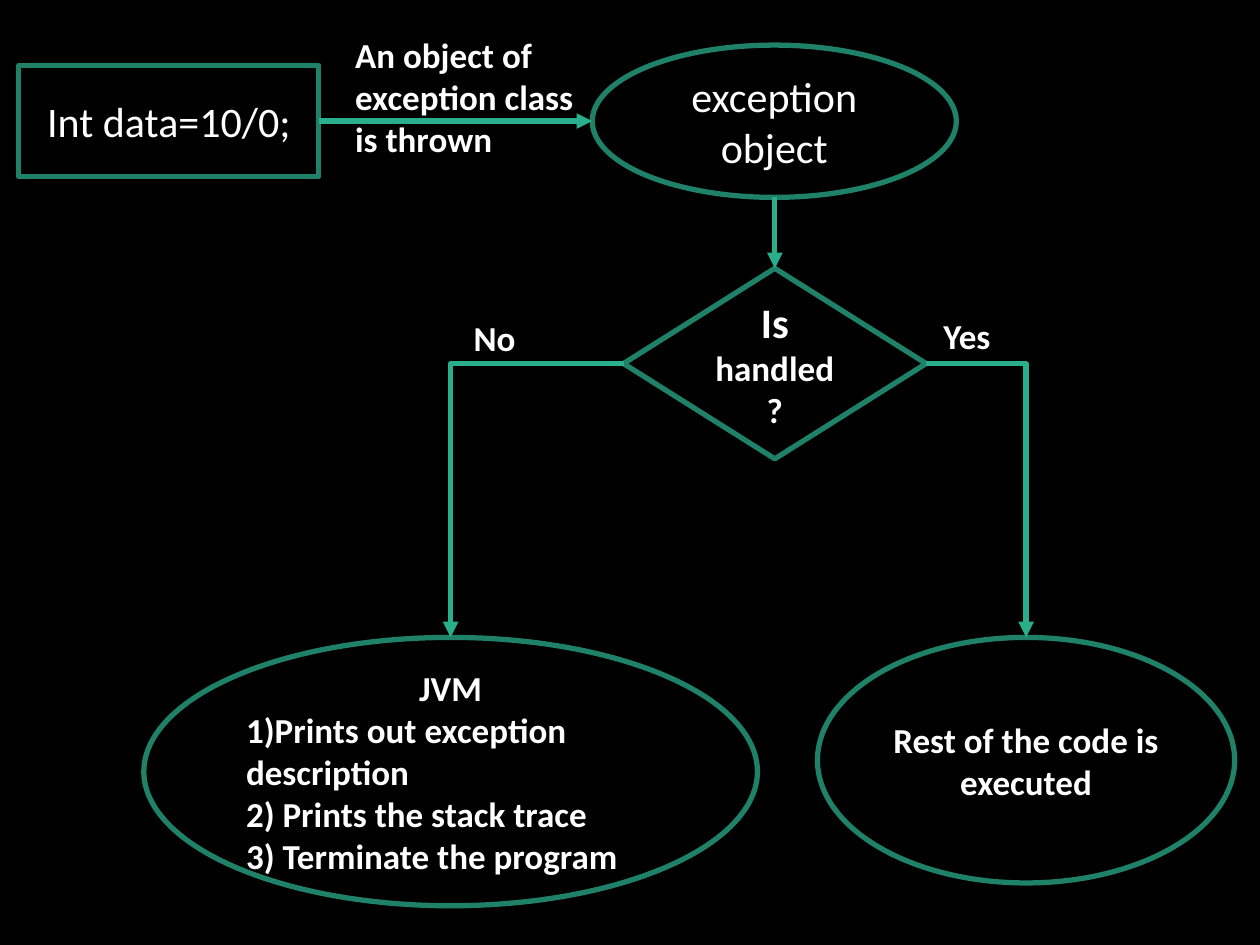
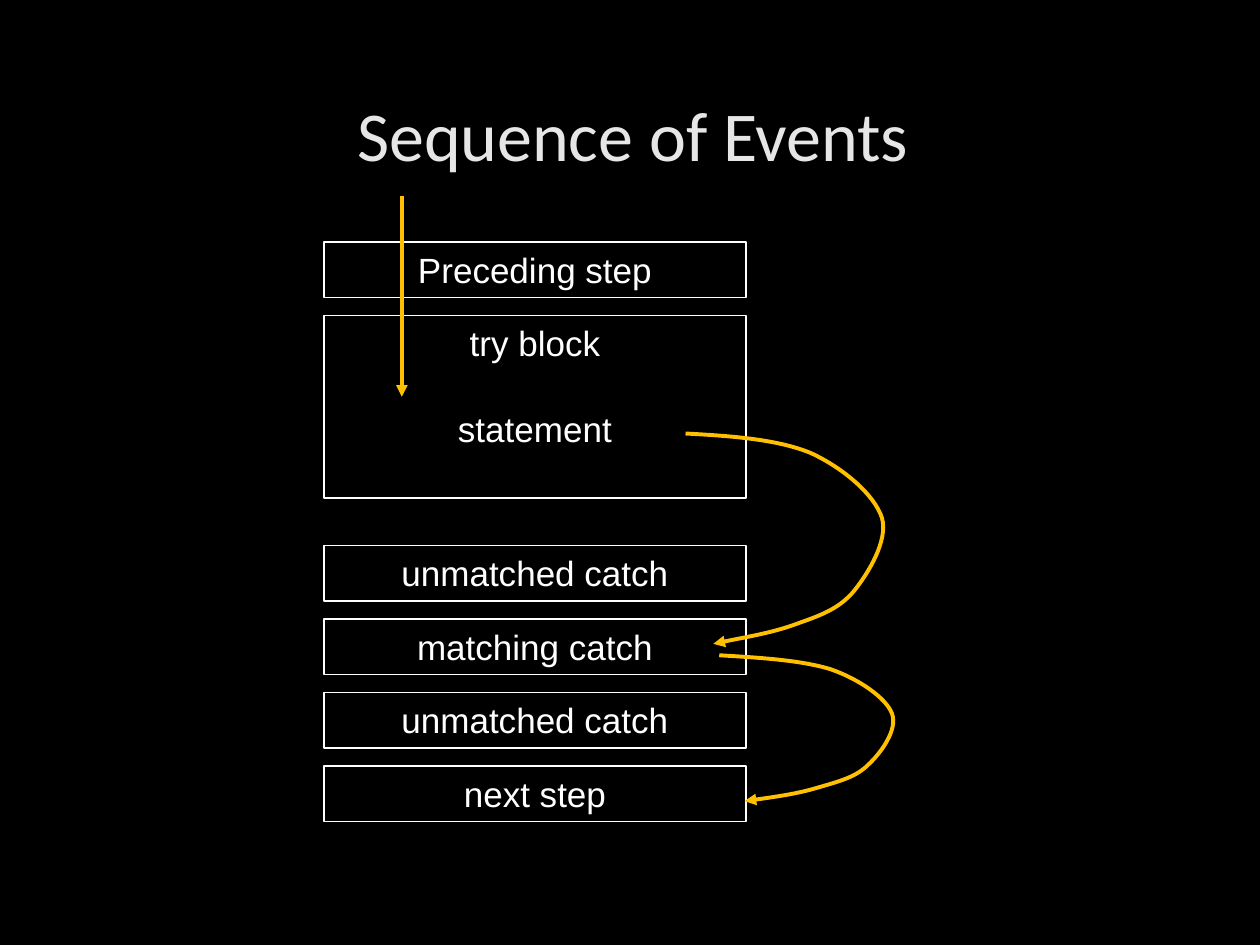
from lxml.etree import SubElement
from pptx import Presentation
from pptx.dml.color import RGBColor
from pptx.enum.shapes import MSO_CONNECTOR, MSO_SHAPE
from pptx.enum.text import MSO_ANCHOR, PP_ALIGN
from pptx.oxml.ns import qn
from pptx.util import Cm, Pt

WHITE, SILVER, BLACK = "FFFFFF", "E7E6E6", "000000"
GREEN, MINT, GOLD = "1E8168", "29AF8C", "FFC000"
LEFT, MID = PP_ALIGN.LEFT, PP_ALIGN.CENTER


def tint(code):
    return RGBColor.from_string(code)


class Deck:
    def __init__(self):
        self.show = Presentation()
        self.show.slide_width, self.show.slide_height = Cm(25.4), Cm(19.05)
        self.slide = None
        self.font = "Calibri"

    def page(self, font):
        self.font = font
        self.slide = self.show.slides.add_slide(self.show.slide_layouts[6])
        fill = self.slide.background.fill
        fill.solid()
        fill.fore_color.rgb = tint(BLACK)

    def letter(self, frame, paras, color, bold, anchor, gap=0):
        frame.word_wrap = True
        frame.vertical_anchor = anchor
        for num, (align, runs) in enumerate(paras):
            para = frame.add_paragraph() if num else frame.paragraphs[0]
            para.alignment = align
            if num and gap:
                para.space_before = Pt(gap)
            for words, size in runs:
                run = para.add_run()
                run.text = words
                font = run.font
                font.name, font.size, font.bold = self.font, Pt(size), bold
                font.color.rgb = tint(color)

    def stroke(self, item, color, width):
        item.line.color.rgb = tint(color)
        item.line.width = Pt(width)

    def tip(self, item):
        SubElement(item.line._get_or_add_ln(), qn("a:tailEnd"), type="triangle")

    def shape(self, kind, place, paras, color=GREEN, width=3, bold=False,
              anchor=MSO_ANCHOR.MIDDLE, gap=0):
        item = self.slide.shapes.add_shape(kind, *map(Cm, place))
        item.shadow.inherit = False
        item.fill.background()
        self.stroke(item, color, width)
        self.letter(item.text_frame, paras, WHITE, bold, anchor, gap)
        return item

    def label(self, place, words, size=20, color=WHITE, bold=True, align=LEFT,
              anchor=MSO_ANCHOR.TOP):
        item = self.slide.shapes.add_textbox(*map(Cm, place))
        self.letter(item.text_frame, [(align, [(words, size)])], color, bold, anchor)

    def arrow(self, start, end, color=MINT, width=3, bent=False):
        kind = MSO_CONNECTOR.ELBOW if bent else MSO_CONNECTOR.STRAIGHT
        item = self.slide.shapes.add_connector(kind, *map(Cm, start + end))
        props = item._element.spPr
        if bent:
            props.find(qn("a:prstGeom")).set("prst", "bentConnector2")
        self.stroke(item, color, width)
        self.tip(item)
        SubElement(props, qn("a:effectLst"))
        return item

    def curve(self, points, color=GOLD, width=2.25):
        spots = [(Cm(x), Cm(y)) for x, y in points]
        pen = self.slide.shapes.build_freeform(*spots[0])
        pen.add_line_segments(spots[1:], close=False)
        item = pen.convert_to_shape()
        steps = list(item._element.iter(qn("a:lnTo")))
        for num in range(0, len(steps), 3):
            bend = SubElement(steps[num].getparent(), qn("a:cubicBezTo"))
            for step in steps[num:num + 3]:
                bend.append(step[0])
                step.getparent().remove(step)
        item.shadow.inherit = False
        item.fill.background()
        self.stroke(item, color, width)
        self.tip(item)


def flow(deck):
    deck.page("Calibri")
    code = deck.shape(MSO_SHAPE.RECTANGLE, (0.38, 1.32, 6.05, 2.24),
                      [(MID, [("Int data=10/0;", 24)])])
    deck.shape(MSO_SHAPE.OVAL, (11.94, 0.91, 7.34, 3.07),
               [(MID, [("exception object", 24)])])
    test = deck.shape(MSO_SHAPE.DIAMOND, (12.57, 5.41, 6.1, 3.84),
                      [(MID, [("Is ", 24), ("handled?", 20)])], bold=True)
    tasks = ["1)Prints out exception description", "2) Prints the stack trace",
             "3) Terminate the program"]
    halt = deck.shape(MSO_SHAPE.OVAL, (2.9, 12.85, 12.37, 5.41),
                      [(MID, [("JVM", 20)])] + [(LEFT, [(task, 20)]) for task in tasks],
                      bold=True)
    rest = deck.shape(MSO_SHAPE.OVAL, (16.48, 12.85, 8.41, 4.95),
                      [(MID, [("Rest of the code is executed", 20)])], bold=True)

    deck.arrow((6.43, 2.44), (11.94, 2.44)).begin_connect(code, 3)
    deck.arrow((15.62, 3.98), (15.62, 5.41)).end_connect(test, 0)
    for start, side, end, goal in (((12.57, 7.33), 1, (9.09, 12.85), halt),
                                   ((18.67, 7.33), 3, (20.69, 12.85), rest)):
        link = deck.arrow(start, end, bent=True)
        link.begin_connect(test, side)
        link.end_connect(goal, 0)

    deck.label((9.3, 6.25, 3.48, 1.12), "No")
    deck.label((18.77, 6.22, 3.48, 1.12), "Yes")
    deck.label((6.91, 0.56, 5.03, 2.82), "An object of exception class is thrown")


def events(deck):
    deck.page("Calibri")
    deck.label((1.27, 0.69, 23.29, 3.99), "Sequence of Events ", 40, SILVER, False,
               MID, MSO_ANCHOR.MIDDLE)
    deck.font = "Arial"
    pitch, low = 1.48, 1.12
    boxes = [(4.88, low, ["Preceding step"]),
             (4.88 + pitch, 3.68, ["try block", "statement"])]
    names = ["unmatched catch", "matching catch", "unmatched catch", "next step"]
    boxes += [(11 + pitch * num, low, [name]) for num, name in enumerate(names)]
    for top, high, lines in boxes:
        deck.shape(MSO_SHAPE.RECTANGLE, (6.53, top, 8.51, high),
                   [(MID, [(line, 20)]) for line in lines], WHITE, 0.75,
                   anchor=MSO_ANCHOR.TOP, gap=25)
    deck.arrow((8.1, 3.96), (8.1, 8), GOLD, 2.25)
    deck.curve([(13.82, 8.74),
                (14.76, 8.79), (15.7, 8.86), (16.36, 9.14),
                (17.02, 9.45), (17.63, 9.98), (17.78, 10.44),
                (17.91, 10.9), (17.5, 11.56), (17.22, 11.91),
                (16.92, 12.27), (16.56, 12.4), (16.08, 12.57),
                (15.6, 12.75), (14.99, 12.85), (14.38, 12.98)])
    deck.curve([(14.5, 13.21),
                (15.34, 13.26), (16.15, 13.31), (16.74, 13.49),
                (17.32, 13.69), (17.86, 14.07), (17.98, 14.38),
                (18.11, 14.71), (17.75, 15.19), (17.5, 15.42),
                (17.25, 15.67), (16.92, 15.75), (16.48, 15.88),
                (16.08, 16), (15.54, 16.08), (15.01, 16.15)])


def main():
    deck = Deck()
    flow(deck)
    events(deck)
    deck.show.save("out.pptx")


if __name__ == "__main__":
    main()
